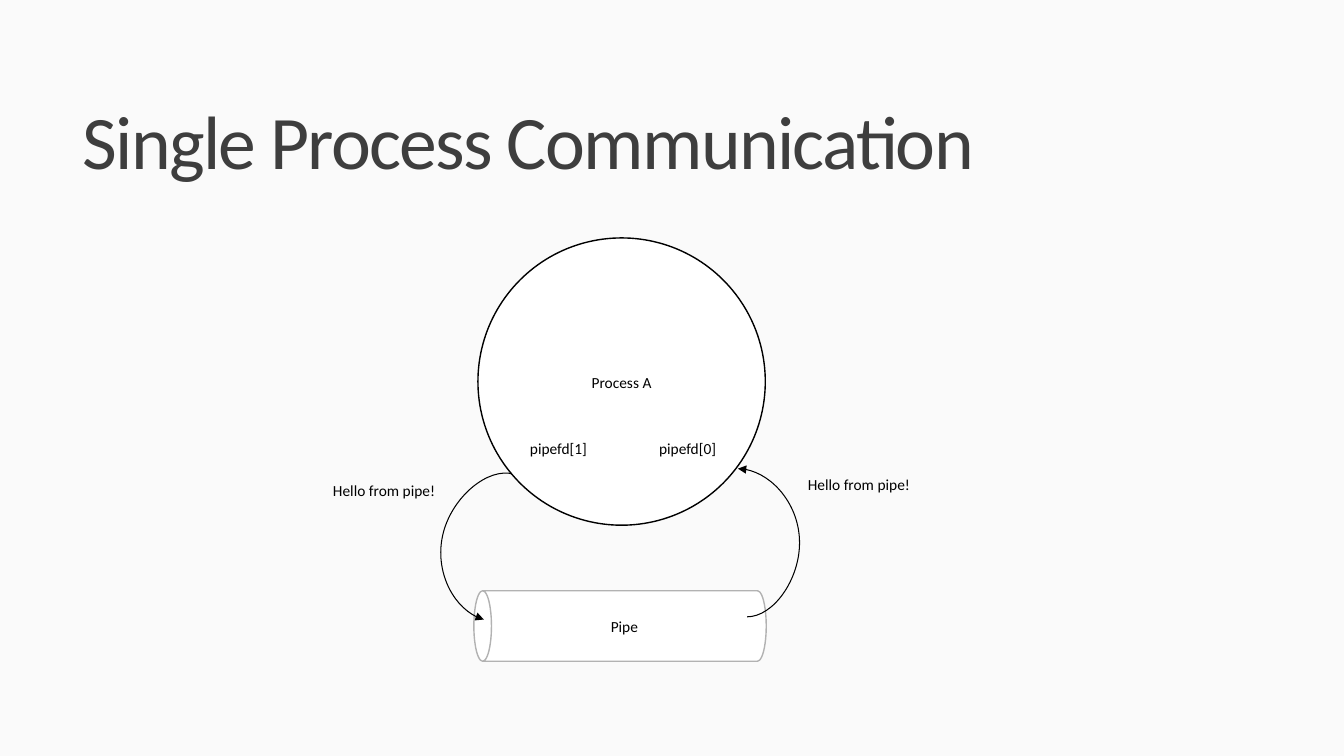
import pptx
import pptx.util
import pptx.dml.color
import pptx.enum.shapes
import pptx.enum.text
import pptx.oxml.ns
import pptx.oxml.xmlchemy

WIDTH, HEIGHT = pptx.util.Inches(13.33), pptx.util.Inches(7.5)
SHAPES = pptx.enum.shapes.MSO_SHAPE
ALIGN = pptx.enum.text.PP_ALIGN
ANCHOR = pptx.enum.text.MSO_ANCHOR
BLACK, WHITE, GREY, CHARCOAL, PAPER = "000000", "FFFFFF", "B2B2B2", "3E3E3E", "FAFAFA"

LABEL_PARA = {"alignment": ALIGN.CENTER, "line_spacing": 1.07,
              "space_after": pptx.util.Pt(8)}
LABEL_FONT = {"name": "Calibri", "size": pptx.util.Pt(11)}
TITLE_PARA = {"alignment": ALIGN.LEFT, "line_spacing": 0.85}
TITLE_FONT = {"name": "Calibri", "size": pptx.util.Pt(54)}


def color(code):
    return pptx.dml.color.RGBColor.from_string(code)


def place(*shares):
    """Turn alternating percentages of slide width and height into lengths."""
    return [round(share / 100 * (HEIGHT if index % 2 else WIDTH))
            for index, share in enumerate(shares)]


def apply(target, values):
    for name, value in values.items():
        setattr(target, name, value)


def element(tag, **attributes):
    node = pptx.oxml.xmlchemy.OxmlElement(tag)
    for name, value in attributes.items():
        node.set(name, value)
    return node


def write(box, text, anchor, para_format=LABEL_PARA, font_format=LABEL_FONT,
          ink=BLACK):
    frame = box.text_frame
    apply(frame, {"word_wrap": True, "vertical_anchor": anchor})
    para = frame.paragraphs[0]
    apply(para, para_format)
    span = para.add_run()
    span.text = text
    apply(span.font, font_format)
    span.font.color.rgb = color(ink)
    return span


def add_label(page, text, area, anchor=ANCHOR.TOP, **formats):
    return write(page.shapes.add_textbox(*place(*area)), text, anchor, **formats)


def add_node(page, kind, text, area, outline):
    shape = page.shapes.add_shape(kind, *place(*area))
    shape.shadow.inherit = False
    shape.fill.solid()
    shape.fill.fore_color.rgb = color(WHITE)
    shape.line.color.rgb = color(outline)
    shape.line.width = pptx.util.Pt(1)
    write(shape, text, ANCHOR.MIDDLE)
    return shape


def add_curve(page, ends, bulge, degrees=0):
    """Draw a curved arrow whose bend lies outside its narrow frame."""
    curve = page.shapes.add_connector(
        pptx.enum.shapes.MSO_CONNECTOR.CURVE, *place(*ends))
    curve.line.color.rgb = color(BLACK)
    curve.line.width = pptx.util.Pt(0.75)
    find = pptx.oxml.ns.qn
    properties = curve._element.spPr
    properties.find(find("a:xfrm")).set("rot", str(degrees * 60000))
    bends = properties.find(find("a:prstGeom")).get_or_add_avLst()
    bends.append(element("a:gd", name="adj1", fmla=f"val {bulge}"))
    properties.find(find("a:ln")).append(element("a:tailEnd", type="triangle"))
    properties.append(element("a:effectLst"))


def main():
    deck = pptx.Presentation()
    apply(deck, {"slide_width": WIDTH, "slide_height": HEIGHT})
    page = deck.slides.add_slide(deck.slide_layouts[6])
    page.background.fill.solid()
    page.background.fill.fore_color.rgb = color(PAPER)

    # Pipe: an upright can laid on its side, with its text kept level
    pipe = add_node(page, SHAPES.CAN, "Pipe", (43.51, 63.47, 5.25, 38.67), GREY)
    pipe.rotation = 270
    pipe.text_frame._txBody.bodyPr.set("vert", "vert")

    # Write arrow, then the process with its two descriptors
    bulge = -574900
    add_curve(page, (36.76, 62.53, 37.44, 82.13), bulge, degrees=15)
    add_node(page, SHAPES.OVAL, "Process A", (35.56, 31.47, 21.38, 38), BLACK)
    for text, left in (("pipefd[1]", 36.53), ("pipefd[0]", 46.14)):
        add_label(page, text, (left, 57.2, 10.05, 7.87))

    # Read arrow and the message on both sides
    add_curve(page, (55.59, 81.6, 54.91, 62), bulge)
    for left, top in ((22.96, 62.8), (58.29, 62)):
        add_label(page, "Hello from pipe!", (left, top, 11.25, 13.07))

    # Title with tightened letters
    title = add_label(page, "Single Process Communication",
                      (5.4, 7.33, 88.37, 24.13), ANCHOR.MIDDLE,
                      para_format=TITLE_PARA, font_format=TITLE_FONT,
                      ink=CHARCOAL)
    title._r.get_or_add_rPr().set("spc", "-120")

    deck.save("out.pptx")


if __name__ == "__main__":
    main()
